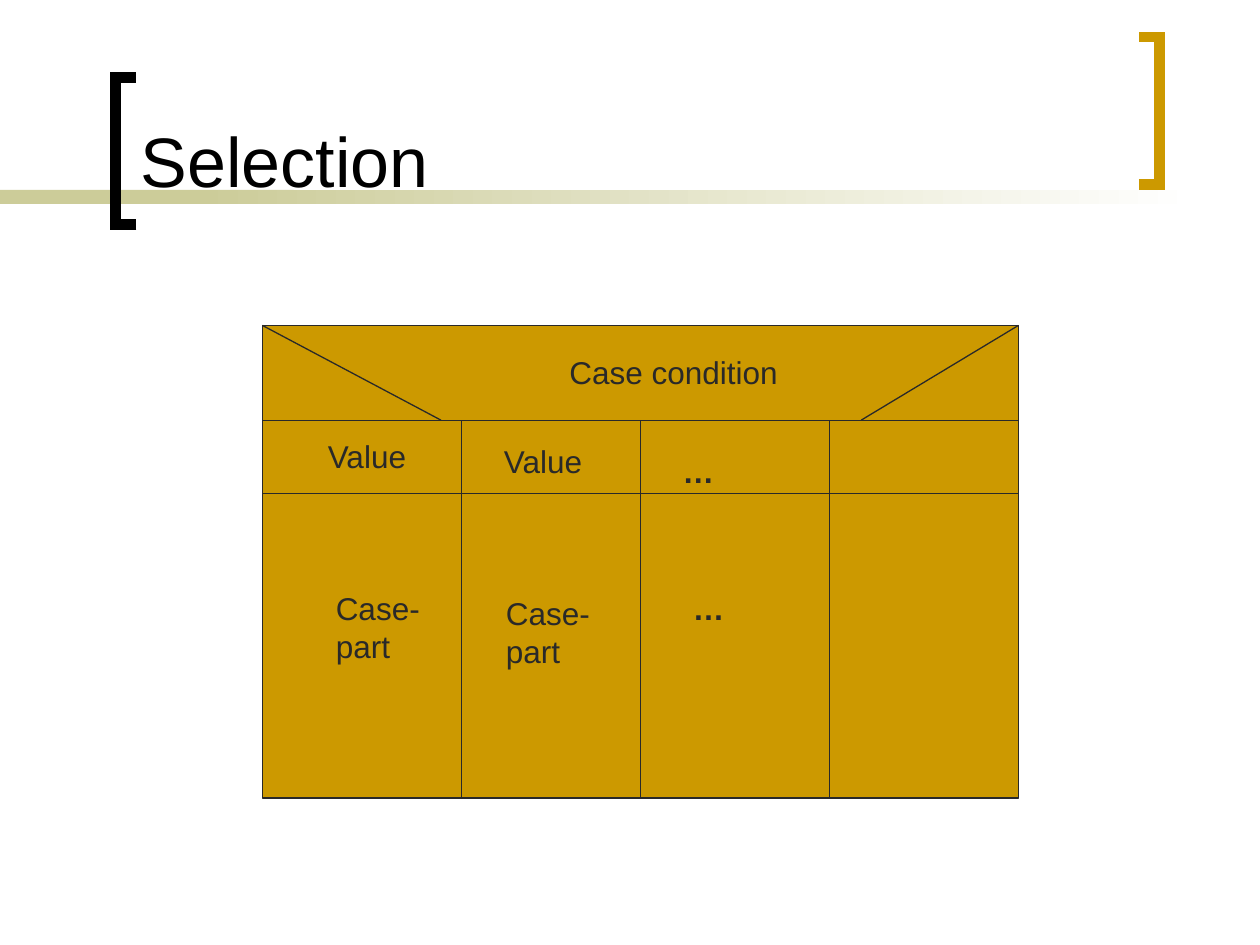
from lxml import etree
from pptx import Presentation
from pptx.dml.color import RGBColor
from pptx.enum.shapes import MSO_CONNECTOR, MSO_SHAPE
from pptx.enum.text import MSO_ANCHOR, MSO_AUTO_SIZE
from pptx.oxml.ns import qn
from pptx.util import Cm, Pt

RECTANGLE = MSO_SHAPE.RECTANGLE
STRAIGHT = MSO_CONNECTOR.STRAIGHT
TOP, BOTTOM = MSO_ANCHOR.TOP, MSO_ANCHOR.BOTTOM
FIT_SHAPE = MSO_AUTO_SIZE.SHAPE_TO_FIT_TEXT

THEME = {
    "font": "Arial",
    "black": RGBColor.from_string("000000"),
    "ink": RGBColor.from_string("292929"),
    "gold": RGBColor.from_string("CC9900"),
    "khaki": RGBColor.from_string("CCCC99"),
    "white": RGBColor.from_string("FFFFFF"),
    "title_size": Pt(40),
    "label_size": Pt(18),
    "bracket_width": Pt(6),
    "rule_width": Pt(0.75),
}

# All lengths below are in centimetres.
TITLE = ("Selection", (2.59, 0.24, 19.89, 3.94))
BAND_TOP, BAND_HEIGHT = 3.83, 0.28
BAND_SOLID_END, BAND_START, BAND_END = 5.92, 4.01, 24.13
BRACKET_HEIGHT = 2.97
BRACKETS = [  # spine x, tip x, top, colour
    (2.33, 2.75, 1.56, "black"),
    (23.38, 22.96, 0.75, "gold"),
]

LEFT, DIAGRAM_TOP, RIGHT, DIAGRAM_BOTTOM = 5.29, 6.56, 20.53, 16.09
CONDITION_BOTTOM, VALUE_BOTTOM = 8.47, 9.95
COLUMN_EDGES = [9.31, 12.91, 16.72]
DIAGONALS = [(LEFT, 8.89), (RIGHT, 17.36)]  # x at top, x at bottom

LABELS = [  # text, box, bold
    ("Case condition", (11.23, 7, 4.7, 1.02), False),
    ("Value", (6.36, 8.68, 2.14, 1.02), False),
    ("Value", (9.91, 8.78, 2.14, 1.02), False),
    ("…", (13.51, 8.99, 1.14, 1.02), True),
    ("Case-\npart", (6.52, 11.75, 2.3, 1.78), False),
    ("Case-\npart", (9.95, 11.85, 2.3, 1.78), False),
    ("…", (13.72, 11.75, 1.14, 1.02), True),
]


def add_text(slide, text, box, *, size, color, bold=False, anchor=TOP, wrap=False):
    frame = slide.shapes.add_textbox(*map(Cm, box)).text_frame
    frame.word_wrap = wrap
    frame.vertical_anchor = anchor
    if not wrap:
        frame.auto_size = FIT_SHAPE
    frame.text = text
    for paragraph in frame.paragraphs:
        font = paragraph.font
        font.name, font.size, font.bold = THEME["font"], size, bold
        font.color.rgb = color


def add_rectangle(slide, left, top, right, bottom):
    rectangle = slide.shapes.add_shape(
        RECTANGLE, Cm(left), Cm(top), Cm(right - left), Cm(bottom - top))
    rectangle.shadow.inherit = False
    rectangle.line.fill.background()
    return rectangle


def set_line(line, color, width):
    line.color.rgb = color
    line.width = width


def add_rule(slide, x1, y1, x2, y2):
    rule = slide.shapes.add_connector(STRAIGHT, Cm(x1), Cm(y1), Cm(x2), Cm(y2))
    set_line(rule.line, THEME["ink"], THEME["rule_width"])
    etree.SubElement(rule.element.spPr, qn("a:effectLst"))


def add_bracket(slide, spine, tip, top, color):
    """Draw an open bracket with square corners."""
    bottom = top + BRACKET_HEIGHT
    builder = slide.shapes.build_freeform(Cm(tip), Cm(bottom))
    corners = [(spine, bottom), (spine, top), (tip, top)]
    builder.add_line_segments([(Cm(x), Cm(y)) for x, y in corners], close=False)
    bracket = builder.convert_to_shape()
    bracket.shadow.inherit = False
    bracket.fill.background()
    set_line(bracket.line, THEME[color], THEME["bracket_width"])
    outline = bracket.element.spPr.find(qn("a:ln"))
    etree.SubElement(outline, qn("a:miter"), lim="800000")


def add_decoration(slide):
    band_bottom = BAND_TOP + BAND_HEIGHT
    solid = add_rectangle(slide, 0, BAND_TOP, BAND_SOLID_END, band_bottom)
    solid.fill.solid()
    solid.fill.fore_color.rgb = THEME["khaki"]
    fade = add_rectangle(slide, BAND_START, BAND_TOP, BAND_END, band_bottom)
    fade.fill.gradient()
    fade.fill.gradient_angle = 0
    for stop, color in zip(fade.fill.gradient_stops, ("khaki", "white")):
        stop.color.rgb = THEME[color]
    for bracket in BRACKETS:
        add_bracket(slide, *bracket)


def add_diagram(slide):
    block = add_rectangle(slide, LEFT, DIAGRAM_TOP, RIGHT, DIAGRAM_BOTTOM)
    block.fill.solid()
    block.fill.fore_color.rgb = THEME["gold"]
    set_line(block.line, THEME["ink"], THEME["rule_width"])
    for y in (CONDITION_BOTTOM, VALUE_BOTTOM):
        add_rule(slide, LEFT, y, RIGHT, y)
    for top_x, bottom_x in DIAGONALS:
        add_rule(slide, top_x, DIAGRAM_TOP, bottom_x, CONDITION_BOTTOM)
    for x in COLUMN_EDGES:
        add_rule(slide, x, CONDITION_BOTTOM, x, DIAGRAM_BOTTOM)
    for text, box, bold in LABELS:
        add_text(slide, text, box, size=THEME["label_size"],
                 color=THEME["ink"], bold=bold)


def main():
    deck = Presentation()
    deck.slide_width, deck.slide_height = Cm(25.4), Cm(19.05)
    slide = deck.slides.add_slide(deck.slide_layouts[6])
    add_decoration(slide)
    add_text(slide, *TITLE, size=THEME["title_size"], color=THEME["black"],
             anchor=BOTTOM, wrap=True)
    add_diagram(slide)
    deck.save("out.pptx")


if __name__ == "__main__":
    main()
